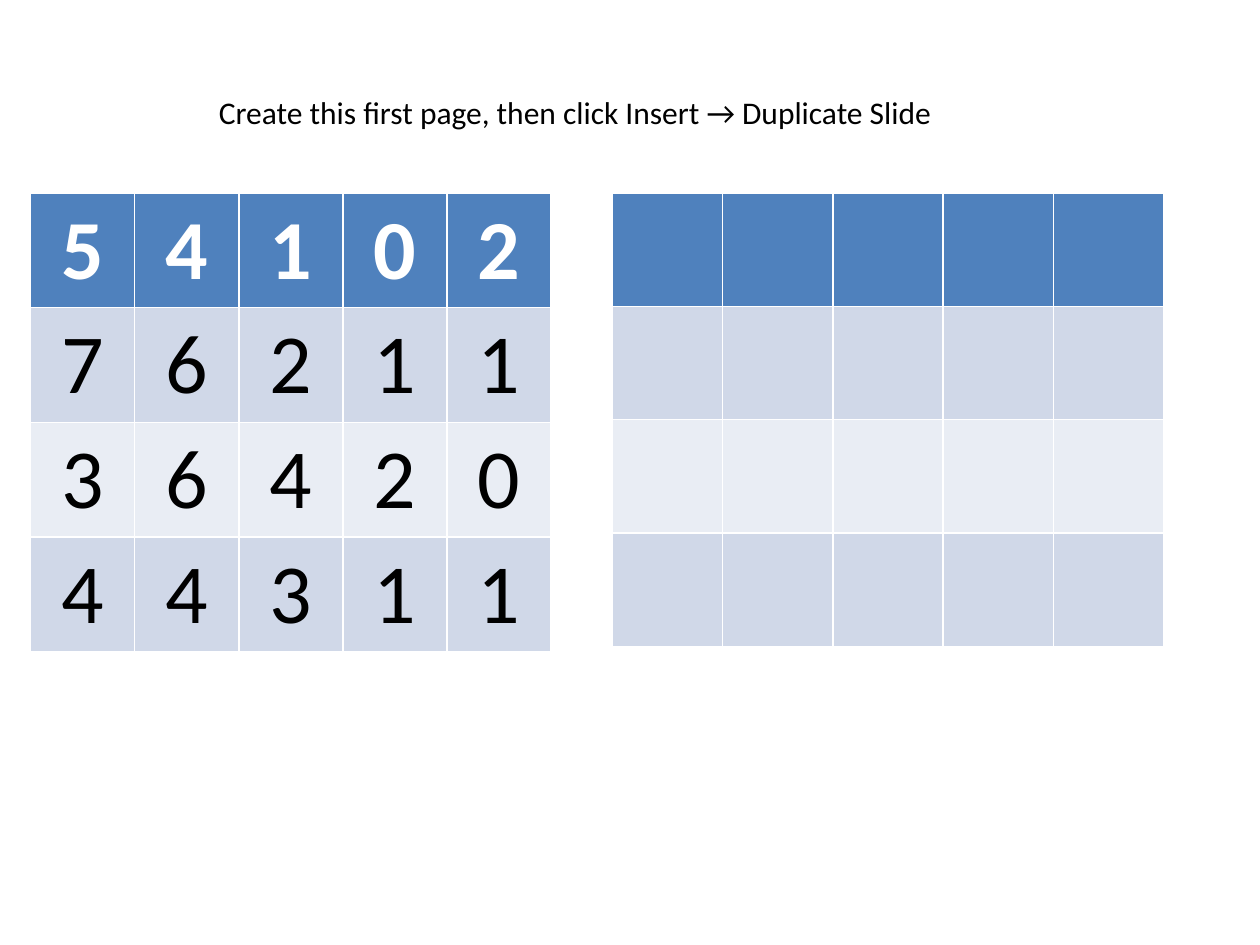
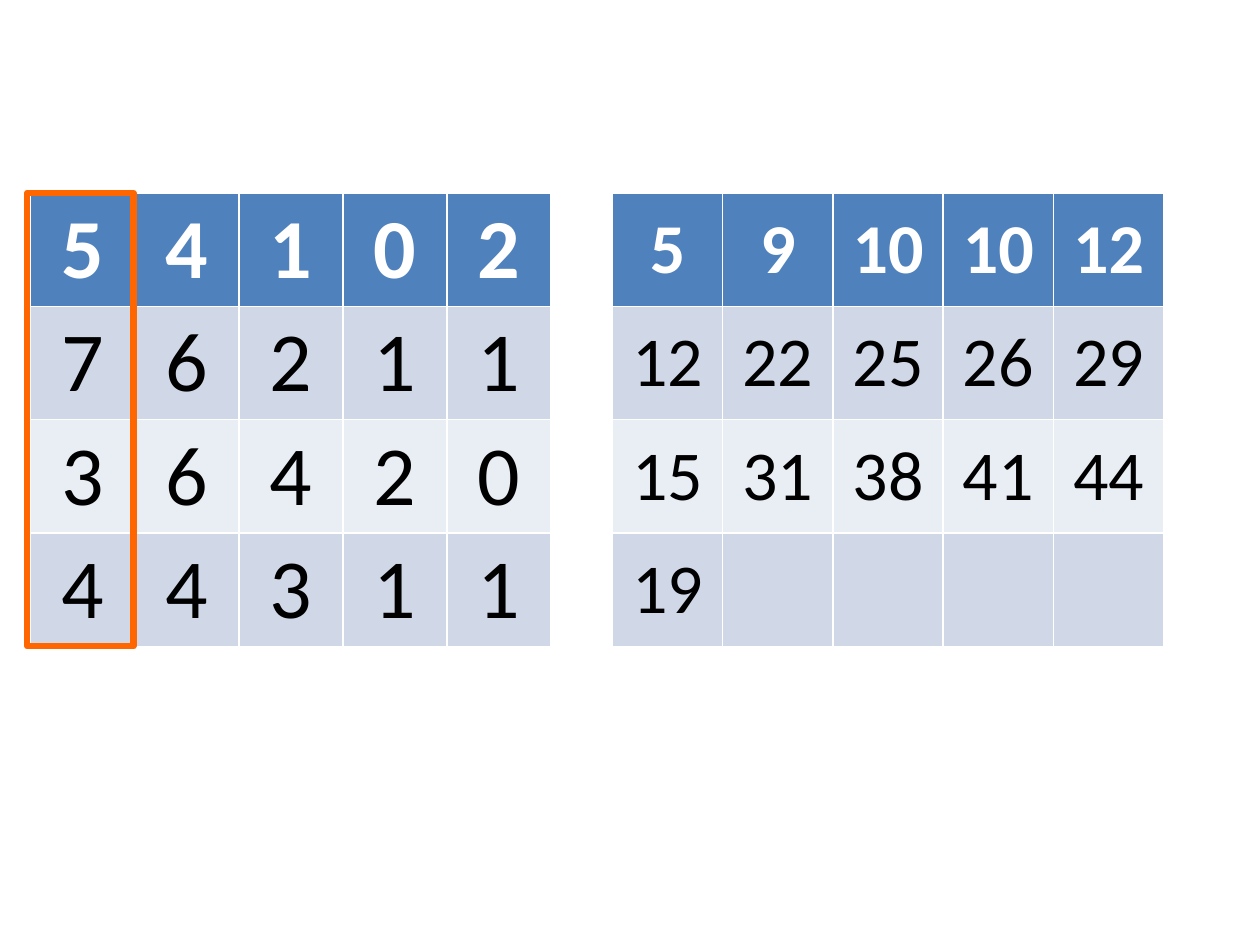
from dataclasses import dataclass

import pptx
import pptx.dml.color
import pptx.enum.shapes
import pptx.enum.text
import pptx.util

Pt = pptx.util.Pt


def rgb(value):
    return pptx.dml.color.RGBColor.from_string(value)


@dataclass(frozen=True)
class Theme:
    font: str = "Calibri"
    header: str = "4F81BD"
    bands: tuple = ("D0D8E8", "E9EDF4")
    header_text: str = "FFFFFF"
    text: str = "000000"
    highlight: str = "FF6600"
    note_size: int = 18
    value_size: int = 48
    sum_size: int = 40


class Deck:
    def __init__(self, theme):
        self.theme = theme
        self.presentation = pptx.Presentation()
        self.presentation.slide_width = Pt(720)
        self.presentation.slide_height = Pt(540)
        self.slide = None

    def new_slide(self):
        self.slide = self.presentation.slides.add_slide(self.presentation.slide_layouts[6])

    def style(self, paragraph, size, color, bold=False):
        paragraph.font.name = self.theme.font
        paragraph.font.size = Pt(size)
        paragraph.font.bold = bold
        paragraph.font.color.rgb = rgb(color)

    def note(self, text, left, top, width, height):
        box = self.slide.shapes.add_textbox(Pt(left), Pt(top), Pt(width), Pt(height))
        box.text_frame.word_wrap = False
        box.text_frame.text = text
        self.style(box.text_frame.paragraphs[0], self.theme.note_size, self.theme.text)

    def grid(self, values, left, top, column_width, row_height, size):
        row_count, column_count = len(values), len(values[0])
        table = self.slide.shapes.add_table(
            row_count, column_count, Pt(left), Pt(top),
            Pt(column_width * column_count), Pt(row_height * row_count)).table
        for column in table.columns:
            column.width = Pt(column_width)
        for row_index, row in enumerate(values):
            table.rows[row_index].height = Pt(row_height)
            is_header = row_index == 0
            fill = self.theme.header if is_header else self.theme.bands[(row_index - 1) % 2]
            color = self.theme.header_text if is_header else self.theme.text
            for column_index, value in enumerate(row):
                cell = table.cell(row_index, column_index)
                cell.fill.solid()
                cell.fill.fore_color.rgb = rgb(fill)
                cell.margin_top = cell.margin_bottom = Pt(0)
                cell.vertical_anchor = pptx.enum.text.MSO_ANCHOR.MIDDLE
                cell.text = str(value)
                paragraph = cell.text_frame.paragraphs[0]
                paragraph.alignment = pptx.enum.text.PP_ALIGN.CENTER
                self.style(paragraph, size, color, bold=is_header)

    def highlight(self, left, top, width, height):
        frame = self.slide.shapes.add_shape(
            pptx.enum.shapes.MSO_SHAPE.RECTANGLE, Pt(left), Pt(top), Pt(width), Pt(height))
        frame.shadow.inherit = False
        frame.fill.background()
        frame.line.color.rgb = rgb(self.theme.highlight)
        frame.line.width = Pt(3.5)


VALUES = [
    [5, 4, 1, 0, 2],
    [7, 6, 2, 1, 1],
    [3, 6, 4, 2, 0],
    [4, 4, 3, 1, 1],
]
EMPTY_SUMS = [[""] * 5 for _ in VALUES]
FIRST_SUMS = [
    [5, 9, 10, 10, 12],
    [12, 22, 25, 26, 29],
    [15, 31, 38, 41, 44],
    [19, "", "", "", ""],
]
GRID_TOP = 110.2
ROW_HEIGHT = 64.8


def add_grids(deck, sums, value_row_height):
    deck.new_slide()
    deck.grid(VALUES, 17.5, GRID_TOP, 59.5, value_row_height, deck.theme.value_size)
    deck.grid(sums, 350, GRID_TOP, 63, ROW_HEIGHT, deck.theme.sum_size)


def main():
    deck = Deck(Theme())

    add_grids(deck, EMPTY_SUMS, 65.6)
    deck.note("Create this first page, then click Insert → Duplicate Slide", 118, 49.7, 427, 29)

    add_grids(deck, FIRST_SUMS, ROW_HEIGHT)
    deck.highlight(15.5, GRID_TOP, 60.8, ROW_HEIGHT * len(VALUES))

    deck.presentation.save("out.pptx")


if __name__ == "__main__":
    main()
